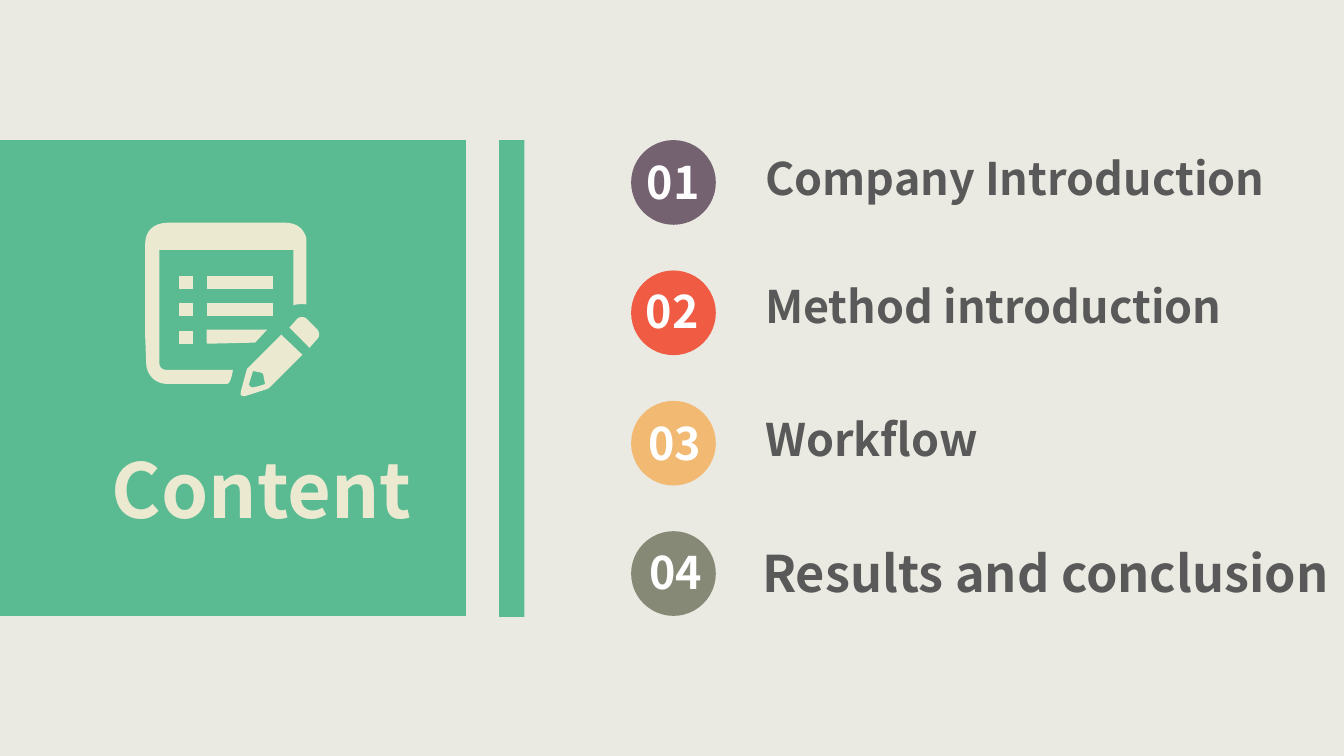
import dataclasses

import pptx
import pptx.dml.color
import pptx.enum.shapes
import pptx.enum.text
import pptx.util


@dataclasses.dataclass(frozen=True)
class Theme:
    font: str = "Noto Sans CJK SC"
    background: str = "EBEAE2"
    panel: str = "5ABB93"
    cream: str = "EBE9D0"
    label: str = "595959"
    number: str = "FFFFFF"
    title_size: int = 54
    item_size: int = 32
    closing_size: int = 36


THEME = Theme()
SLIDE_W, SLIDE_H = 13.33, 7.5

TITLE = "Content"
# number, its nudge from the badge centre, badge colour, label, label box, label size
AGENDA = [
    ("01", (0, 0), "756271", "Company Introduction", (7.49, 1.45, 5.31, 0.64), THEME.item_size),
    ("02", (-0.01, -0.02), "EF5B43", "Method introduction", (7.49, 2.72, 4.94, 0.64), THEME.item_size),
    ("03", (0.01, 0), "F2B973", "Workflow", (7.49, 4.04, 2.42, 0.64), THEME.item_size),
    ("04", (0.02, -0.02), "858976", "Results and conclusion", (7.46, 5.33, 5.99, 0.71), THEME.closing_size),
]

# Icon outlines in hundredths of an inch: a pair is a corner, six numbers a cubic curve.
NOTEPAD = [
    (231, 367), (231, 367, 230, 376, 227, 380), (225, 381), (166, 381),
    (154, 381, 145, 372, 145, 360), (144, 333), (144, 242),
    (144, 229, 153, 221, 166, 221), (283, 221),
    (294, 221, 302, 227, 304, 237), (304, 302), (304, 302, 295, 301, 291, 303),
    (291, 248), (158, 248), (158, 359), (158, 364, 160, 367, 166, 367),
]
PENCIL = [
    (279, 332), (300, 352), (268, 384), (268, 384, 267, 385, 265, 386),
    (243, 393), (242, 393, 240, 393, 239, 392), (238, 391, 239, 390, 239, 388),
    (245, 366), (247, 364),
]
PENCIL_TIP = [
    (251, 368), (247, 381), (247, 382), (249, 384, 250, 385, 252, 384),
    (257, 383), (263, 381), (261, 371), (260, 370),
]
ERASER = [
    (287, 325), (295, 316), (298, 314, 301, 314, 304, 316), (315, 327),
    (317, 330, 317, 334, 315, 336), (307, 345),
]
LAST_LINE = [(205, 327), (265, 327), (253, 340), (250, 340), (206, 341), (205, 340)]


def bar(left, top, width, height=13):
    return [(left, top), (left + width, top), (left + width, top + height), (left, top + height)]


LIST_LINES = [bar(205, top, 66) for top in (274, 301)]
LIST_BULLETS = [bar(178, top, 13) for top in (274, 301, 328)]
ICON = [[NOTEPAD], [PENCIL, PENCIL_TIP], [ERASER], [LAST_LINE]]
ICON += [[outline] for outline in LIST_LINES + LIST_BULLETS]

PANEL_TOP, PANEL_H = 1.39, 4.72
PANELS = [(0, PANEL_TOP, 4.62, PANEL_H), (4.95, PANEL_TOP, 0.25, PANEL_H + 0.01)]
TITLE_BOX = (1.01, 4.34, 3.26, 1.01)
BADGE_LEFT, BADGE = 6.26, 0.84
BADGE_STEP = (PANEL_H - BADGE) / (len(AGENDA) - 1)
NUMBER_W, NUMBER_H = 0.8, 0.64

UNITS_PER_INCH = 1000
CURVE_STEPS = 8


def rgb(code):
    return pptx.dml.color.RGBColor.from_string(code)


def paint(shape, color):
    shape.shadow.inherit = False
    shape.fill.solid()
    shape.fill.fore_color.rgb = rgb(color)
    shape.line.fill.background()


def add_solid(slide, kind, box, color):
    shape = slide.shapes.add_shape(kind, *map(pptx.util.Inches, box))
    paint(shape, color)


def add_text(slide, text, box, *, size, color, align="LEFT", wrap=False):
    frame = slide.shapes.add_textbox(*map(pptx.util.Inches, box)).text_frame
    frame.word_wrap = wrap
    frame.auto_size = pptx.enum.text.MSO_AUTO_SIZE.SHAPE_TO_FIT_TEXT
    paragraph = frame.paragraphs[0]
    paragraph.alignment = getattr(pptx.enum.text.PP_ALIGN, align)
    run = paragraph.add_run()
    run.text = text
    run.font.name = THEME.font
    run.font.size = pptx.util.Pt(size)
    run.font.bold = True
    run.font.color.rgb = rgb(color)


def trace(outline):
    """Turn corners and cubic curves into points in freeform units."""
    points = []
    for step in outline:
        if len(step) == 2:
            points.append(step)
            continue
        start = points[-1]
        first, second, end = step[:2], step[2:4], step[4:]
        for i in range(1, CURVE_STEPS + 1):
            t = i / CURVE_STEPS
            u = 1 - t
            points.append(tuple(
                u**3 * a + 3 * u * u * t * b + 3 * u * t * t * c + t**3 * d
                for a, b, c, d in zip(start, first, second, end)
            ))
    return [(x * UNITS_PER_INCH / 100, y * UNITS_PER_INCH / 100) for x, y in points]


def add_icon_part(slide, outlines, color):
    contours = [trace(outline) for outline in outlines]
    builder = slide.shapes.build_freeform(
        *contours[0][0], scale=pptx.util.Inches(1) / UNITS_PER_INCH)
    for i, contour in enumerate(contours):
        if i:
            builder.move_to(*contour[0])
        builder.add_line_segments(contour[1:], close=True)
    paint(builder.convert_to_shape(), color)


def main():
    deck = pptx.Presentation()
    deck.slide_width = pptx.util.Inches(SLIDE_W)
    deck.slide_height = pptx.util.Inches(SLIDE_H)
    slide = deck.slides.add_slide(deck.slide_layouts[6])
    slide.background.fill.solid()
    slide.background.fill.fore_color.rgb = rgb(THEME.background)

    shapes = pptx.enum.shapes.MSO_SHAPE
    for box in PANELS:
        add_solid(slide, shapes.RECTANGLE, box, THEME.panel)
    for outlines in ICON:
        add_icon_part(slide, outlines, THEME.cream)
    add_text(slide, TITLE, TITLE_BOX, size=THEME.title_size, color=THEME.cream)

    for row, (number, nudge, color, label, label_box, size) in enumerate(AGENDA):
        top = PANEL_TOP + row * BADGE_STEP
        number_left = BADGE_LEFT + (BADGE - NUMBER_W) / 2 + nudge[0]
        number_top = top + (BADGE - NUMBER_H) / 2 + nudge[1]
        add_text(slide, label, label_box, size=size, color=THEME.label)
        add_solid(slide, shapes.OVAL, (BADGE_LEFT, top, BADGE, BADGE), color)
        add_text(slide, number, (number_left, number_top, NUMBER_W, NUMBER_H),
                 size=THEME.item_size, color=THEME.number, align="CENTER", wrap=True)

    deck.save("out.pptx")


if __name__ == "__main__":
    main()
